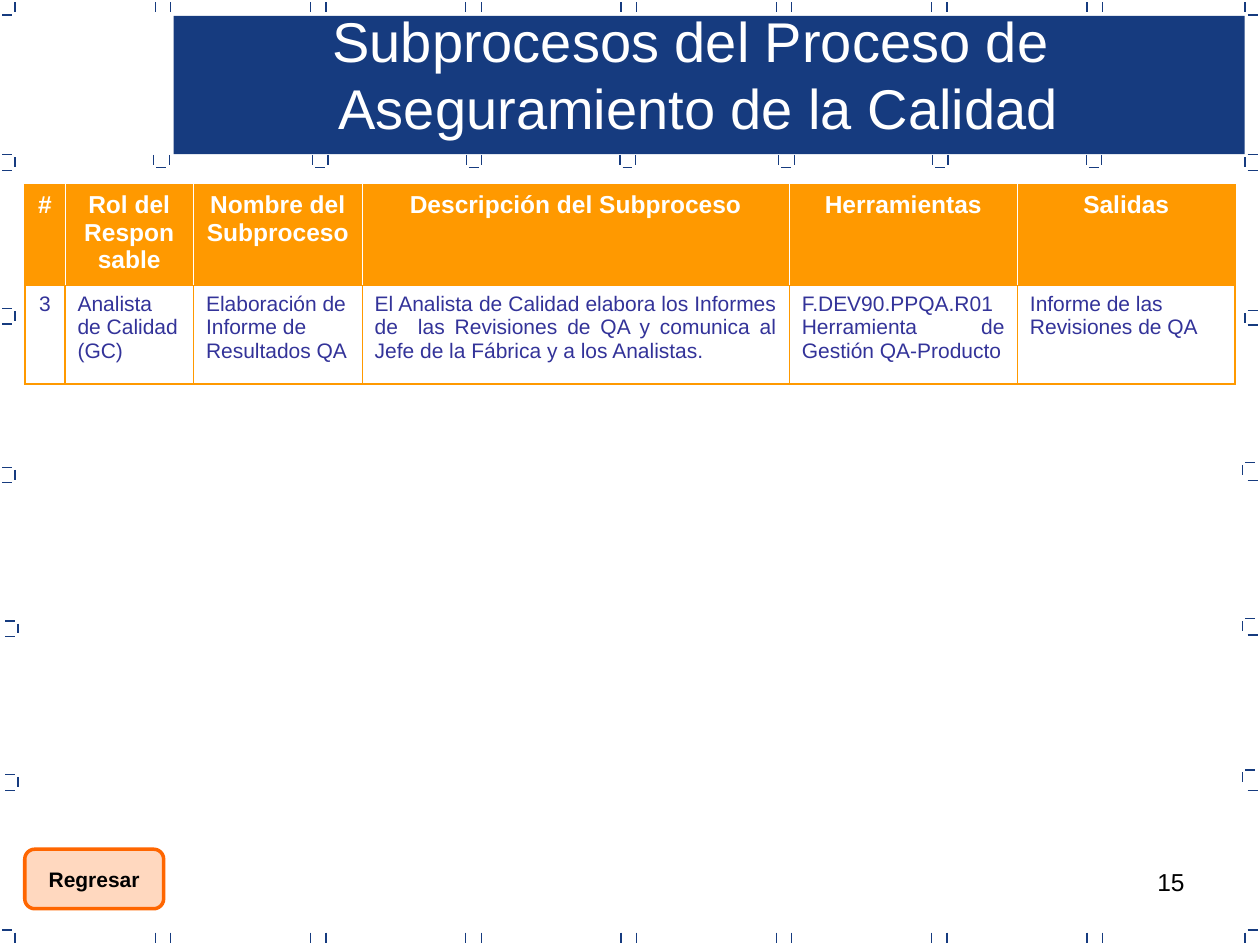
import lxml.etree
import pptx
import pptx.dml.color
import pptx.enum.shapes
import pptx.enum.text
import pptx.oxml.ns
import pptx.util

Cm, Pt = pptx.util.Cm, pptx.util.Pt
qn = pptx.oxml.ns.qn
SHAPE = pptx.enum.shapes.MSO_SHAPE
ALIGN = pptx.enum.text.PP_ALIGN
ANCHOR = pptx.enum.text.MSO_ANCHOR
L, C, R, J = ALIGN.LEFT, ALIGN.CENTER, ALIGN.RIGHT, ALIGN.JUSTIFY

# Content
COLORS = {"navy": "163B7F", "orange": "FF9900", "button": "FF6600",
          "body": "333399", "white": "FFFFFF", "black": "000000"}
TITLE = ["Subprocesos del Proceso de ", "Aseguramiento de la Calidad"]
BUTTON = "Regresar"
PAGE = "15"
# Header, column width in cm, cell text, cell alignment
COLUMNS = [
    ("#", 0.81, "3", C),
    ("Rol del Responsable", 2.59, "Analista de Calidad (GC)", L),
    ("Nombre del Subproceso", 3.4, "Elaboración de Informe de Resultados QA", L),
    ("Descripción del Subproceso", 8.61,
     "El Analista de Calidad elabora los Informes de  las Revisiones de QA "
     "y comunica al Jefe de la Fábrica y a los Analistas.", J),
    ("Herramientas", 4.6, "F.DEV90.PPQA.R01 Herramienta de Gestión QA-Producto", J),
    ("Salidas", 4.39, "Informe de las Revisiones de QA", L),
]
ROW_HEIGHTS = (2.03, 1.98)

# Frame marks, in cm
TICK, GAP, INSET = 0.2, 0.31, 0.05
EDGE_X = [3.13 + 3.13 * i for i in range(7)]
BANNER_X = [3.1, 6.3, 9.4, 12.5, 15.7, 18.8, 21.9]
LEFT_MARKS = [(0.3, 3.12), (0.3, 6.22), (0.3, 9.42), (0.36, 12.52), (0.36, 15.62)]
# Stem x, top y, lower tick y
RIGHT_MARKS = [(25.1, 3.12, 3.43), (25.1, 6.26, 6.55), (25.05, 9.32, 9.68),
               (25.05, 12.47, 12.8), (25.05, 15.52, 15.93)]


def rgb(name):
    return pptx.dml.color.RGBColor.from_string(COLORS[name])


def write(p, text, size, color, align, bold=False):
    p.alignment = align
    r = p.add_run()
    r.text = text
    r.font.name = "Arial"
    r.font.size = Pt(size)
    r.font.bold = bold
    r.font.color.rgb = rgb(color)


def tick(slide, x, y, dx=0, dy=0):
    cxn = slide.shapes.add_connector(
        pptx.enum.shapes.MSO_CONNECTOR.STRAIGHT, Cm(x), Cm(y), Cm(x + dx), Cm(y + dy))
    cxn.line.color.rgb = rgb("navy")
    cxn.line.width = Pt(0.75)
    lxml.etree.SubElement(cxn.element.spPr, qn("a:effectLst"))


def draw_frame(slide):
    # Pairs along the top and bottom edges
    for x in EDGE_X:
        for y in (0.05, 18.8):
            tick(slide, x, y, dy=TICK)
            tick(slide, x + GAP, y, dy=TICK)
    # Corners
    for stem, bar in ((0.3, 0.05), (25.1, 25.15)):
        for y, bar_y in ((0.05, 0.3), (18.8, 18.75)):
            tick(slide, stem, y, dy=TICK)
            tick(slide, bar, bar_y, dx=TICK)
    # Brackets on both sides
    for x, y in LEFT_MARKS:
        tick(slide, x, y + INSET, dy=TICK)
        for bar_y in (y, y + GAP):
            tick(slide, x - TICK - INSET, bar_y, dx=TICK)
    for x, y, low in RIGHT_MARKS:
        tick(slide, x, y + INSET, dy=TICK)
        tick(slide, x + INSET, y, dx=TICK)
        tick(slide, 25.15, low, dx=TICK)
    # Brackets under the banner
    for x in BANNER_X:
        tick(slide, x, 3.12, dy=TICK)
        tick(slide, x + GAP, 3.12, dy=TICK)
        tick(slide, x + INSET, 3.38, dx=TICK)


def add_shape(slide, kind, x, y, w, h, fill):
    sp = slide.shapes.add_shape(kind, Cm(x), Cm(y), Cm(w), Cm(h))
    sp.shadow.inherit = False
    sp.fill.solid()
    sp.fill.fore_color.rgb = rgb(fill)
    sp.line.fill.background()
    return sp


def set_borders(cell, borders):
    for side in ("L", "R", "T", "B"):
        color, width = borders[side]
        ln = lxml.etree.SubElement(cell._tc.get_or_add_tcPr(), qn("a:ln" + side),
                                   w=str(Pt(width)))
        solid = lxml.etree.SubElement(ln, qn("a:solidFill"))
        lxml.etree.SubElement(solid, qn("a:srgbClr"), val=COLORS[color])


def add_table(slide):
    widths = [col[1] for col in COLUMNS]
    table = slide.shapes.add_table(2, len(COLUMNS), Cm(0.5), Cm(3.73),
                                   Cm(sum(widths)), Cm(sum(ROW_HEIGHTS))).table
    table.first_row = table.horz_banding = False
    for row, height in zip(table.rows, ROW_HEIGHTS):
        row.height = Cm(height)
    outer, inner, divider = ("orange", 1.08), ("orange", 0.75), ("white", 0.45)
    last = len(COLUMNS) - 1
    for i, (header, width, text, align) in enumerate(COLUMNS):
        table.columns[i].width = Cm(width)
        head, body = table.cell(0, i), table.cell(1, i)
        for cell, between, top, bottom in ((head, divider, outer, inner),
                                           (body, inner, inner, outer)):
            set_borders(cell, {"L": outer if i == 0 else between,
                               "R": outer if i == last else between,
                               "T": top, "B": bottom})
        head.fill.solid()
        head.fill.fore_color.rgb = rgb("orange")
        body.fill.background()
        write(head.text_frame.paragraphs[0], header, 14, "white", C, True)
        write(body.text_frame.paragraphs[0], text, 12, "body", align)


def add_title(slide):
    title = slide.shapes.title
    title.left, title.top, title.width, title.height = Cm(3.71), Cm(0), Cm(20.75), Cm(2.97)
    tf = title.text_frame
    tf.auto_size = pptx.enum.text.MSO_AUTO_SIZE.NONE
    tf.vertical_anchor = ANCHOR.TOP
    for i, line in enumerate(TITLE):
        p = tf.add_paragraph() if i else tf.paragraphs[0]
        write(p, line, 32, "white", C)
    # Bring the title in front of the banner
    slide.shapes.element.append(title.element)


def add_button(slide):
    sp = add_shape(slide, SHAPE.FLOWCHART_ALTERNATE_PROCESS, 0.5, 17.12, 2.8, 1.2, "button")
    color = sp.element.spPr.find(qn("a:solidFill"))[0]
    lxml.etree.SubElement(color, qn("a:alpha"), val="25000")
    sp.line.color.rgb = rgb("button")
    sp.line.width = Pt(2)
    sp.text_frame.word_wrap = False
    sp.text_frame.vertical_anchor = ANCHOR.MIDDLE
    write(sp.text_frame.paragraphs[0], BUTTON, 12, "black", C, True)


def main():
    prs = pptx.Presentation()
    prs.slide_width, prs.slide_height = Cm(25.4), Cm(19.05)
    slide = prs.slides.add_slide(prs.slide_layouts[5])
    # Page number
    tf = slide.shapes.add_textbox(Cm(18.2), Cm(17.35), Cm(5.93), Cm(1.32)).text_frame
    tf.word_wrap = True
    write(tf.paragraphs[0], PAGE, 14, "black", R)
    # Banner and frame
    add_shape(slide, SHAPE.RECTANGLE, 3.5, 0.32, 21.59, 2.79, "navy")
    draw_frame(slide)
    add_table(slide)
    add_title(slide)
    add_button(slide)
    prs.save("out.pptx")


if __name__ == "__main__":
    main()
